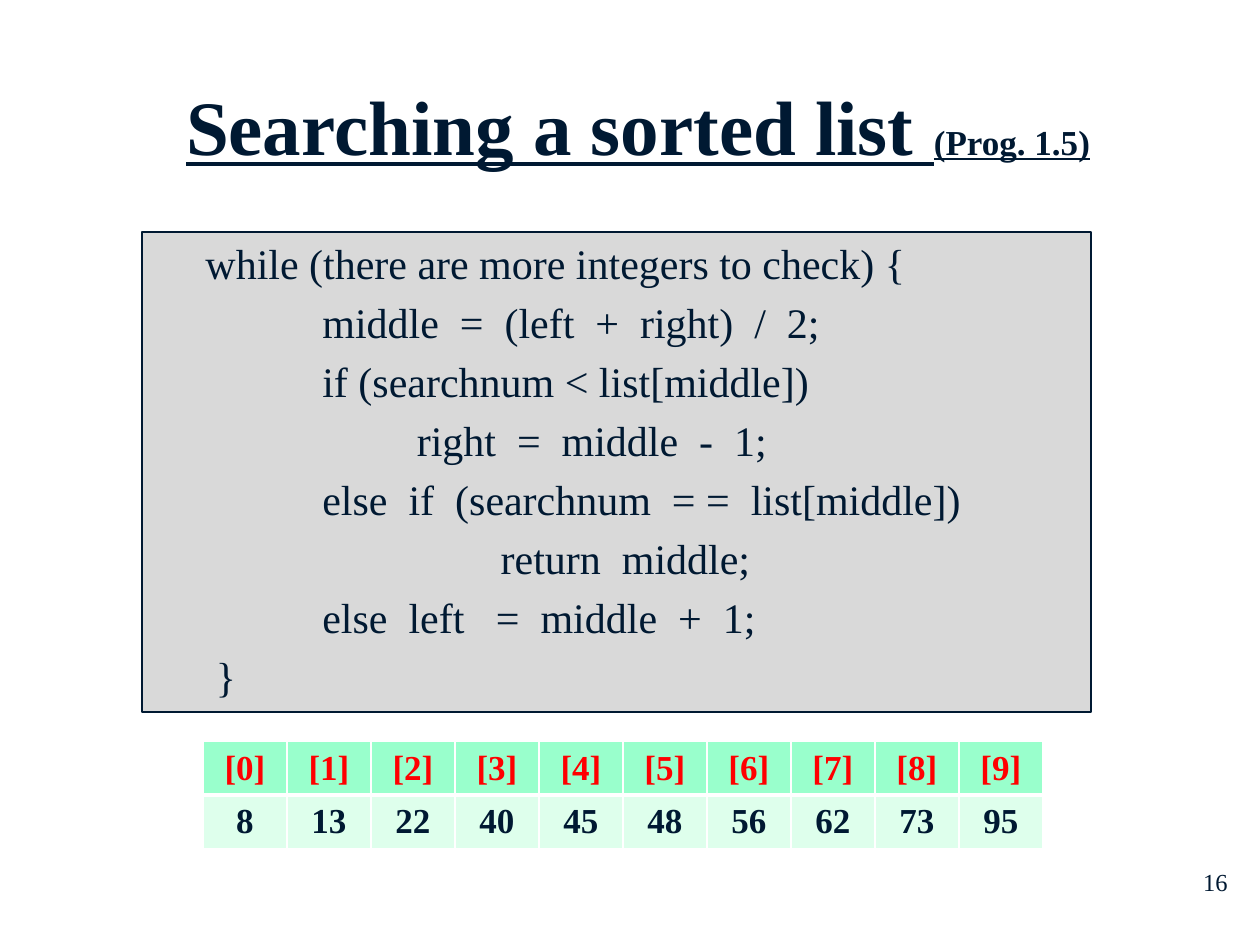
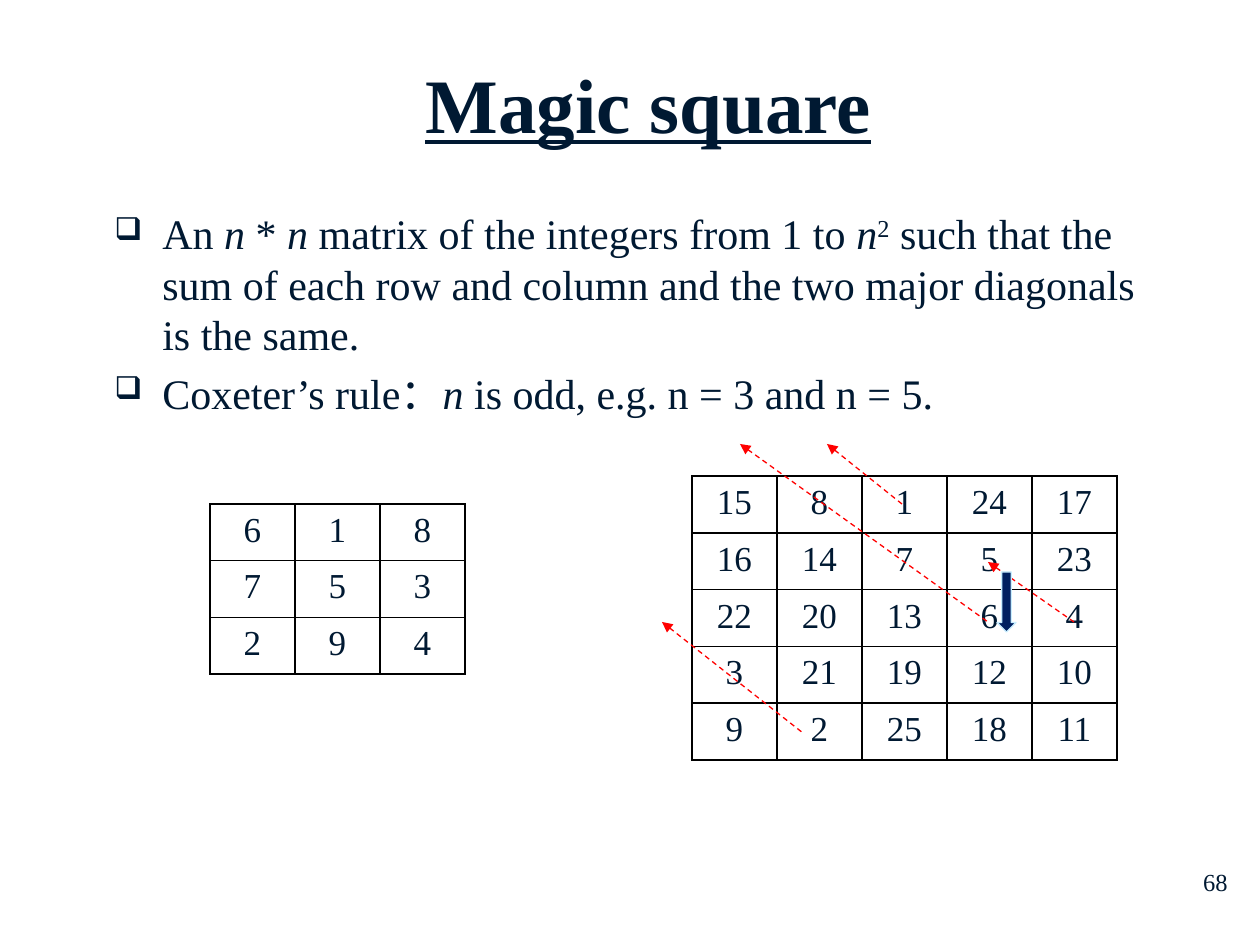
"""Build two data-structure slides: searching a sorted list and the magic square."""
from lxml import etree
from pptx import Presentation
from pptx.dml.color import RGBColor
from pptx.enum.dml import MSO_LINE
from pptx.enum.shapes import MSO_CONNECTOR, MSO_SHAPE
from pptx.enum.text import MSO_ANCHOR, PP_ALIGN
from pptx.oxml.ns import qn
from pptx.util import Emu, Pt

EMU_PER_PX = 914400 / 126
FONT = "Times New Roman"
LINE_FACTOR = 1.195
LEFT, CENTER, RIGHT = PP_ALIGN.LEFT, PP_ALIGN.CENTER, PP_ALIGN.RIGHT
TOP, MIDDLE, BOTTOM = MSO_ANCHOR.TOP, MSO_ANCHOR.MIDDLE, MSO_ANCHOR.BOTTOM
RECTANGLE, DOWN_ARROW = MSO_SHAPE.RECTANGLE, MSO_SHAPE.DOWN_ARROW
STRAIGHT, DASH = MSO_CONNECTOR.STRAIGHT, MSO_LINE.DASH

COLORS = {
    "ink": "001932",
    "code": "D9D9D9",
    "header": "99FFCC",
    "values": "DEFFEC",
    "white": "FFFFFF",
    "black": "000000",
    "red": "FF0000",
    "navy": "002060",
    "sky": "C8EEFF",
}

ITALIC = {"italic": True}
TITLE = {"size": 44, "bold": True, "underline": True}
BODY = {"size": 24}

CODE_LINES = [
    "while (there are more integers to check) {",
    "    middle  =  (left  +  right)  /  2;",
    "    if (searchnum < list[middle])",
    "             right  =  middle  -  1;",
    "    else  if  (searchnum  = =  list[middle])",
    "                     return  middle;",
    "    else  left   =  middle  +  1;",
    " }",
]
SORTED_LIST = [8, 13, 22, 40, 45, 48, 56, 62, 73, 95]
MAGIC_BULLETS = [
    [("An ", {}), ("n", ITALIC), (" * ", {}), ("n", ITALIC),
     (" matrix of the integers from 1 to ", {}), ("n", ITALIC),
     ("2", {"superscript": True}),
     (" such that the sum of each row and column and the two major diagonals is the same.", {})],
    [("Coxeter’s rule：", {}), ("n", ITALIC), (" is odd, e.g. n = 3 and n = 5.", {})],
]
MAGIC_THREE = [[6, 1, 8], [7, 5, 3], [2, 9, 4]]
MAGIC_FIVE = [
    [15, 8, 1, 24, 17],
    [16, 14, 7, 5, 23],
    [22, 20, 13, 6, 4],
    [3, 21, 19, 12, 10],
    [9, 2, 25, 18, 11],
]
MOVES = [
    ((827, 444), (902, 504)),
    ((662, 622), (803, 733)),
    ((740, 444), (988, 622)),
    ((988, 562), (1074, 622)),
]


def px(length):
    """Turn a length in px into EMU."""
    return Emu(round(length * EMU_PER_PX))


def color(name):
    """Return the named colour."""
    return RGBColor.from_string(COLORS[name])


def add_element(parent, tag, **attributes):
    """Append a DrawingML element with the given attributes."""
    element = etree.SubElement(parent, qn(tag))
    for name, value in attributes.items():
        element.set(name, str(value))
    return element


def add_run(paragraph, text, style):
    """Add a run of text with the given format values."""
    values = {"name": FONT, "color": "ink", **style}
    run = paragraph.add_run()
    run.text = text
    run.font.color.rgb = color(values.pop("color"))
    if values.pop("superscript", False):
        run.font._element.set("baseline", "30000")
    values["size"] = Pt(values["size"])
    for name, value in values.items():
        setattr(run.font, name, value)


def write_paragraph(paragraph, runs, style, alignment=LEFT, line_height=None):
    """Fill a paragraph with runs that share a base style."""
    paragraph.alignment = alignment
    paragraph.line_spacing = Pt(line_height or round(style["size"] * LINE_FACTOR, 1))
    for text, changes in runs:
        add_run(paragraph, text, {**style, **changes})


def set_indent(paragraph, margin, first_line):
    """Set the left margin and first-line indent of a paragraph in px."""
    properties = paragraph._p.get_or_add_pPr()
    properties.set("marL", str(px(margin)))
    properties.set("indent", str(px(first_line)))


def add_bullet(paragraph):
    """Give a paragraph a square bullet."""
    properties = paragraph._p.get_or_add_pPr()
    bullet_color = add_element(properties, "a:buClr")
    add_element(bullet_color, "a:srgbClr", val=COLORS["ink"])
    add_element(properties, "a:buSzPct", val=75000)
    add_element(properties, "a:buChar", char="❑")


def paragraphs_for(frame, items):
    """Yield a paragraph of the frame for each item, spaced from the one before."""
    for index, item in enumerate(items):
        paragraph = frame.add_paragraph() if index else frame.paragraphs[0]
        if index:
            paragraph.space_before = Pt(5)
        yield paragraph, item


def add_text_frame(slide, box, anchor=TOP):
    """Add a wrapping text box and return its text frame."""
    frame = slide.shapes.add_textbox(*map(px, box)).text_frame
    frame.word_wrap = True
    frame.vertical_anchor = anchor
    return frame


def add_title(slide, box, runs):
    """Add the underlined slide title."""
    frame = add_text_frame(slide, box, BOTTOM)
    write_paragraph(frame.paragraphs[0], runs, TITLE, CENTER)


def add_page_number(slide, number):
    """Add the page number at the lower right."""
    frame = add_text_frame(slide, (978, 861, 262, 63))
    write_paragraph(frame.paragraphs[0], [(str(number), {})], {"size": 14}, RIGHT)


def add_filled_shape(slide, kind, box, fill, line):
    """Add a flat preset shape with a thin outline."""
    shape = slide.shapes.add_shape(kind, *map(px, box))
    shape.shadow.inherit = False
    shape.fill.solid()
    shape.fill.fore_color.rgb = color(fill)
    shape.line.color.rgb = color(line)
    shape.line.width = Pt(0.75)
    return shape


def add_code(slide, box, lines):
    """Add a grey panel of code."""
    frame = add_filled_shape(slide, RECTANGLE, box, "code", "ink").text_frame
    frame.word_wrap = True
    frame.vertical_anchor = TOP
    for paragraph, line in paragraphs_for(frame, lines):
        is_outer = line in (lines[0], lines[-1])
        set_indent(paragraph, 158, -107 if is_outer else -32)
        write_paragraph(paragraph, [(line, {})], BODY)


def add_bullets(slide, box, bullets):
    """Add a bulleted body text."""
    frame = add_text_frame(slide, box)
    for paragraph, runs in paragraphs_for(frame, bullets):
        set_indent(paragraph, 48, -48)
        write_paragraph(paragraph, runs, BODY)
        add_bullet(paragraph)


def set_borders(cell, name, widths):
    """Set the left, right, top and bottom borders of a cell in points."""
    properties = cell._tc.get_or_add_tcPr()
    for side, width in zip("LRTB", widths):
        border = add_element(properties, f"a:ln{side}", w=Pt(width))
        fill = add_element(border, "a:solidFill")
        add_element(fill, "a:srgbClr", val=COLORS[name])


def add_plain_table(slide, box, rows):
    """Add a table with equal rows and columns and yield its cells with their values."""
    left, top, width, height = box
    frame = slide.shapes.add_table(len(rows), len(rows[0]), *map(px, box))
    table = frame.table
    table.first_row = table.horz_banding = False
    for column in table.columns:
        column.width = px(width / len(rows[0]))
    for row in table.rows:
        row.height = px(height / len(rows))
    for row_index, values in enumerate(rows):
        for column_index, value in enumerate(values):
            yield row_index, table.cell(row_index, column_index), str(value)


def add_index_table(slide, box, values):
    """Add a list as a table with its indexes above."""
    indexes = [f"[{index}]" for index in range(len(values))]
    for row, cell, text in add_plain_table(slide, box, [indexes, values]):
        set_borders(cell, "white", (1, 1, 3, 1) if row else (1, 1, 1, 3))
        cell.fill.solid()
        cell.fill.fore_color.rgb = color("values" if row else "header")
        style = {"size": 20, "bold": True, "color": "ink" if row else "red"}
        write_paragraph(cell.text_frame.paragraphs[0], [(text, {})], style, CENTER, 23)


def add_square(slide, box, rows):
    """Add a magic square as a ruled grid."""
    for _, cell, text in add_plain_table(slide, box, rows):
        set_borders(cell, "black", (1, 1, 1, 1))
        cell.fill.background()
        cell.vertical_anchor = MIDDLE
        cell.margin_left = cell.margin_right = px(9)
        cell.margin_top = cell.margin_bottom = 0
        write_paragraph(cell.text_frame.paragraphs[0], [(text, {})], {"size": 20}, CENTER, 20)


def add_move(slide, tip, start):
    """Add a dashed red arrow that points at the tip."""
    connector = slide.shapes.add_connector(STRAIGHT, *map(px, tip + start))
    connector.line.color.rgb = color("red")
    connector.line.width = Pt(0.75)
    connector.line.dash_style = DASH
    add_element(connector.line._get_or_add_ln(), "a:headEnd", type="triangle")
    add_element(connector._element.spPr, "a:effectLst")


def build_search_slide(slide):
    """Build the slide on searching a sorted list."""
    add_code(slide, (142, 232, 949, 480), CODE_LINES)
    add_page_number(slide, 16)
    add_title(slide, (142, 72, 992, 105),
              [("Searching a sorted list ", {}), ("(Prog. 1.5)", {"size": 20})])
    add_index_table(slide, (203, 741, 840, 108), SORTED_LIST)


def build_magic_slide(slide):
    """Build the slide on magic squares."""
    add_title(slide, (113, 58, 1071, 97), [("Magic square", {})])
    add_bullets(slide, (102, 202, 1071, 242), MAGIC_BULLETS)
    add_page_number(slide, 68)
    add_square(slide, (692, 476, 425, 284), MAGIC_FIVE)
    add_square(slide, (210, 504, 255, 170), MAGIC_THREE)
    for tip, start in MOVES:
        add_move(slide, tip, start)
    add_filled_shape(slide, DOWN_ARROW, (997, 572, 19, 60), "navy", "sky")


def main():
    """Build and save the presentation."""
    presentation = Presentation()
    presentation.slide_width, presentation.slide_height = px(1260), px(945)
    blank = presentation.slide_layouts[6]
    for build in (build_search_slide, build_magic_slide):
        build(presentation.slides.add_slide(blank))
    presentation.save("out.pptx")


if __name__ == "__main__":
    main()
